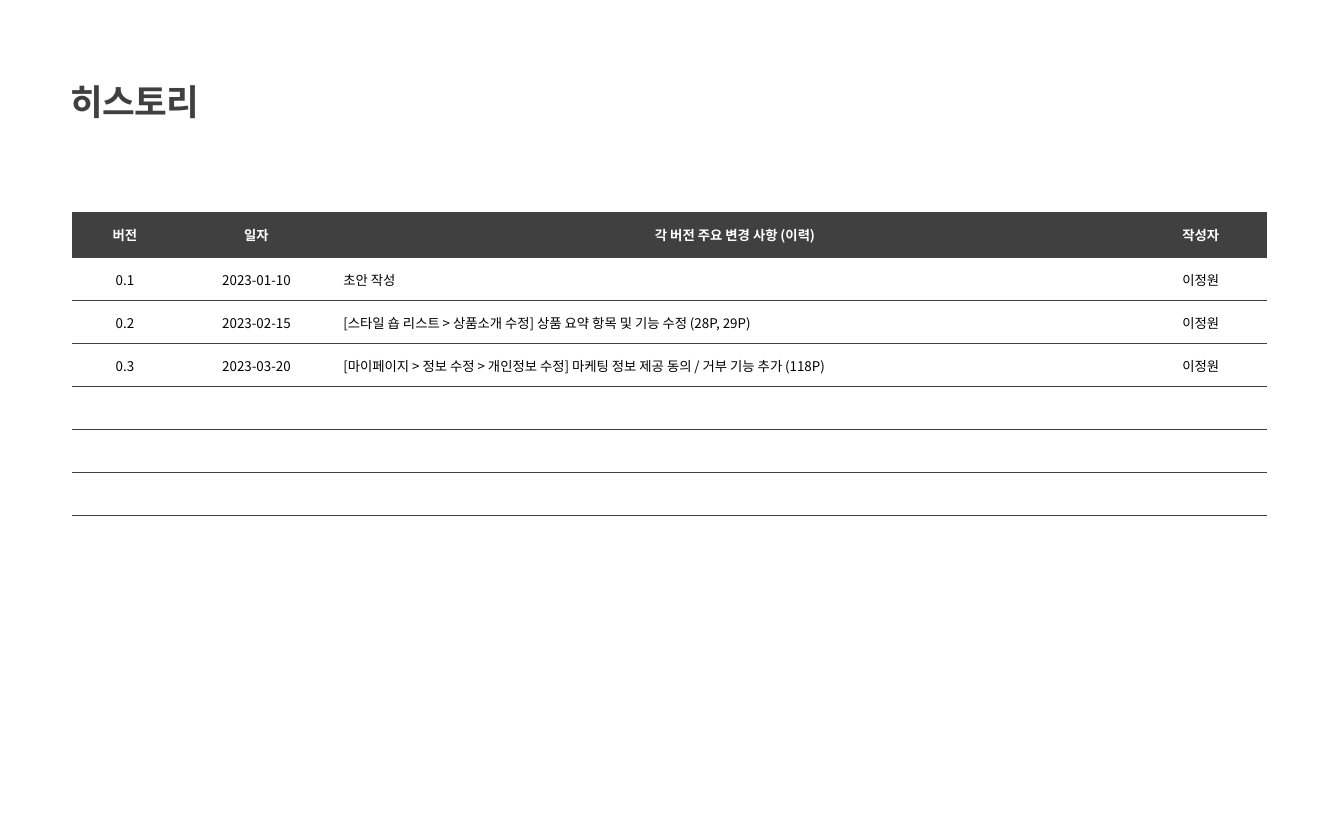
from dataclasses import astuple, dataclass

from lxml.etree import SubElement
from pptx import Presentation
from pptx.dml.color import RGBColor
from pptx.enum.text import MSO_ANCHOR, MSO_AUTO_SIZE, PP_ALIGN
from pptx.oxml.ns import qn
from pptx.slide import Slide
from pptx.table import _Cell
from pptx.text.text import _Paragraph, _Run
from pptx.util import Pt

FONT = "Noto Sans CJK KR"
COLORS = {"charcoal": "404040", "white": "FFFFFF", "black": "000000"}
PLAIN_STYLE = "{2D5ABB26-0587-4C30-8999-92F81FD0307C}"
COLUMN_WIDTHS = (71.5, 106, 540, 88.9)
HEADER_HEIGHT, ENTRY_HEIGHT = 31, 29
ENTRY_ROWS = 7
CHANGES_COLUMN = 2


@dataclass(frozen=True)
class Revision:
    """One line of the version history."""

    version: str = ""
    date: str = ""
    changes: str = ""
    author: str = ""


HEADER = Revision("버전", "일자", "각 버전 주요 변경 사항 (이력)", "작성자")
REVISIONS = [
    Revision("0.1", "2023-01-10", "초안 작성", "이정원"),
    Revision("0.2", "2023-02-15",
             "[스타일 숍 리스트 > 상품소개 수정] 상품 요약 항목 및 기능 수정 (28P, 29P)", "이정원"),
    Revision("0.3", "2023-03-20",
             "[마이페이지 > 정보 수정 > 개인정보 수정] 마케팅 정보 제공 동의 / 거부 기능 추가 (118P)",
             "이정원"),
]


def rgb(name: str) -> RGBColor:
    """Look up a named colour."""
    return RGBColor.from_string(COLORS[name])


def add_run(paragraph: _Paragraph, text: str, size: float, color: str, bold: bool) -> _Run:
    """Append a run in the slide font, for Latin and Korean alike."""
    run = paragraph.add_run()
    run.text = text
    run.font.size = Pt(size)
    run.font.bold = bold
    run.font.color.rgb = rgb(color)
    run.font.name = FONT
    SubElement(run.font._element, qn("a:ea"), typeface=FONT)
    return run


def add_rule(cell: _Cell, side: str) -> None:
    """Draw a thin charcoal rule on one side of a cell."""
    rule = SubElement(cell._tc.get_or_add_tcPr(), qn(f"a:{side}"), w=str(Pt(0.5)))
    fill = SubElement(rule, qn("a:solidFill"))
    SubElement(fill, qn("a:srgbClr"), val=COLORS["charcoal"])


def fill_cell(cell: _Cell, text: str, align: PP_ALIGN, is_header: bool, ruled: bool) -> None:
    """Style one history cell and write its text."""
    if is_header:
        add_rule(cell, "lnT")
    if ruled:
        add_rule(cell, "lnB")
    cell.fill.solid()
    cell.fill.fore_color.rgb = rgb("charcoal" if is_header else "white")
    cell.vertical_anchor = MSO_ANCHOR.MIDDLE
    cell.margin_left = cell.margin_right = Pt(5.67)
    cell.margin_top = cell.margin_bottom = Pt(3.6)
    paragraph = cell.text_frame.paragraphs[0]
    paragraph.alignment = align
    if text:
        add_run(paragraph, text, 9, "white" if is_header else "black", is_header)
    else:
        SubElement(paragraph._p, qn("a:endParaRPr"), sz="900")


def add_title(slide: Slide) -> None:
    """Place the slide heading."""
    title = slide.shapes.add_textbox(Pt(40.5), Pt(50.5), Pt(109.5), Pt(36)).text_frame
    title.word_wrap = False
    title.auto_size = MSO_AUTO_SIZE.SHAPE_TO_FIT_TEXT
    heading = add_run(title.paragraphs[0], "히스토리", 24, "charcoal", True)
    heading.font._element.set("spc", "-50")


def add_history(slide: Slide) -> None:
    """Place the version history table with spare rows."""
    blanks = [Revision()] * (ENTRY_ROWS - len(REVISIONS))
    entries = [HEADER, *REVISIONS, *blanks]
    height = HEADER_HEIGHT + ENTRY_ROWS * ENTRY_HEIGHT
    history = slide.shapes.add_table(
        len(entries), len(COLUMN_WIDTHS), Pt(48.6), Pt(143), Pt(sum(COLUMN_WIDTHS)), Pt(height)
    ).table
    history.horz_banding = False
    history._tbl.tblPr.find(qn("a:tableStyleId")).text = PLAIN_STYLE
    for column, width in zip(history.columns, COLUMN_WIDTHS):
        column.width = Pt(width)
    for row, entry in enumerate(entries):
        is_header = row == 0
        history.rows[row].height = Pt(HEADER_HEIGHT if is_header else ENTRY_HEIGHT)
        for column, text in enumerate(astuple(entry)):
            is_change = column == CHANGES_COLUMN and not is_header
            align = PP_ALIGN.LEFT if is_change else PP_ALIGN.CENTER
            fill_cell(history.cell(row, column), text, align, is_header, row < ENTRY_ROWS)


def main() -> None:
    """Build and save the history slide."""
    deck = Presentation()
    deck.slide_width, deck.slide_height = Pt(907.2), Pt(566.9)
    slide = deck.slides.add_slide(deck.slide_layouts[6])
    add_history(slide)
    add_title(slide)
    deck.save("out.pptx")


if __name__ == "__main__":
    main()
